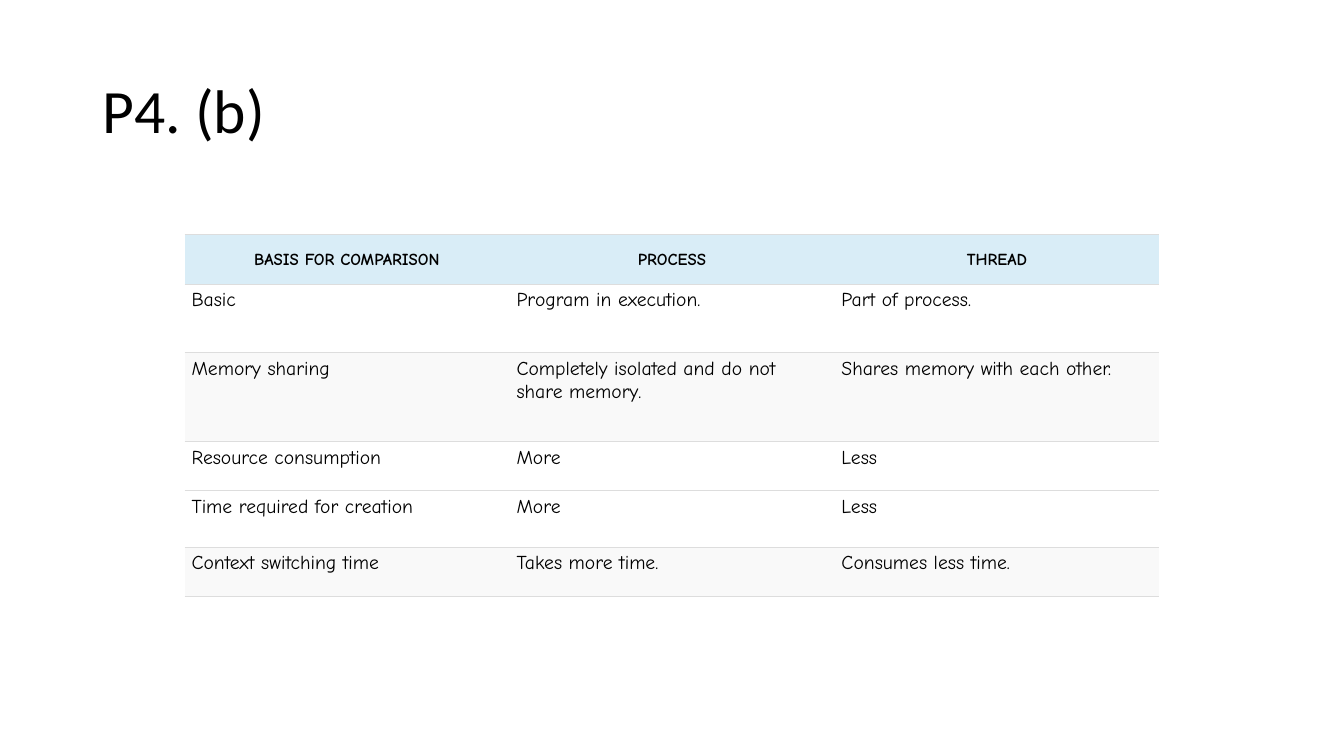
from lxml import etree
from pptx import Presentation
from pptx.dml.color import RGBColor
from pptx.enum.text import MSO_ANCHOR, PP_ALIGN
from pptx.oxml.ns import qn
from pptx.util import Inches, Pt

LEFT, CENTER = PP_ALIGN.LEFT, PP_ALIGN.CENTER
TOP, MIDDLE = MSO_ANCHOR.TOP, MSO_ANCHOR.MIDDLE

COLORS = {
    "text": "000000",
    "header": "D9EDF7",
    "plain": "FFFFFF",
    "shaded": "F9F9F9",
    "rule": "DDDDDD",
}
SLIDE_WIDTH, SLIDE_HEIGHT = 13.33, 7.5

HEADINGS = ("BASIS FOR COMPARISON", "PROCESS", "THREAD")
COMPARISONS = [
    ("plain", 0.68, ("Basic", "Program in execution.", "Part of process.")),
    ("shaded", 0.88, ("Memory sharing",
                      "Completely isolated and do not share memory.",
                      "Shares memory with each other.")),
    ("plain", 0.49, ("Resource consumption", "More", "Less")),
    ("plain", 0.56, ("Time required for creation", "More", "Less")),
    ("shaded", 0.49, ("Context switching time", "Takes more time.",
                      "Consumes less time.")),
]


def write(frame, text, font, size, bold=False, align=LEFT, spacing=1.0):
    paragraph = frame.paragraphs[0]
    paragraph.alignment = align
    paragraph.line_spacing = spacing
    run = paragraph.add_run()
    run.text = text
    run.font.name = font
    run.font.size = Pt(size)
    run.font.bold = bold
    run.font.color.rgb = RGBColor.from_string(COLORS["text"])


def rule_cell(cell):
    properties = cell._tc.get_or_add_tcPr()
    for side in ("lnL", "lnR"):
        edge = etree.SubElement(properties, qn(f"a:{side}"), w="0")
        etree.SubElement(edge, qn("a:noFill"))
    for side in ("lnT", "lnB"):
        edge = etree.SubElement(properties, qn(f"a:{side}"), w=str(Pt(0.75)))
        paint = etree.SubElement(edge, qn("a:solidFill"))
        etree.SubElement(paint, qn("a:srgbClr"), val=COLORS["rule"])


def add_title(slide, box, text):
    title = slide.shapes.add_textbox(*map(Inches, box))
    frame = title.text_frame
    frame.word_wrap = True
    frame.vertical_anchor = MIDDLE
    write(frame, text, "Calibri", 44, spacing=0.9)


def add_comparison(slide, left, top, width):
    lines = [("header", 0.49, HEADINGS)] + COMPARISONS
    height = sum(line[1] for line in lines)
    comparison = slide.shapes.add_table(
        len(lines), len(HEADINGS),
        *map(Inches, (left, top, width, height))).table
    for column in comparison.columns:
        column.width = Inches(width / len(HEADINGS))
    for row, (fill, row_height, entries) in zip(comparison.rows, lines):
        row.height = Inches(row_height)
        heading = fill == "header"
        for cell, entry in zip(row.cells, entries):
            rule_cell(cell)
            cell.fill.solid()
            cell.fill.fore_color.rgb = RGBColor.from_string(COLORS[fill])
            cell.margin_left = cell.margin_right = Inches(0.07)
            cell.margin_top = cell.margin_bottom = Inches(0.05)
            cell.vertical_anchor = MIDDLE if heading else TOP
            write(cell.text_frame, entry, "Comic Neue",
                  12 if heading else 14, bold=heading,
                  align=CENTER if heading else LEFT)


presentation = Presentation()
presentation.slide_width = Inches(SLIDE_WIDTH)
presentation.slide_height = Inches(SLIDE_HEIGHT)
slide = presentation.slides.add_slide(presentation.slide_layouts[6])
title_margin = 0.92
add_title(slide, (title_margin, 0.4, SLIDE_WIDTH - 2 * title_margin, 1.45),
          "P4. (b)")
table_width = 9.67
add_comparison(slide, (SLIDE_WIDTH - table_width) / 2, 2.33, table_width)
presentation.save("out.pptx")
